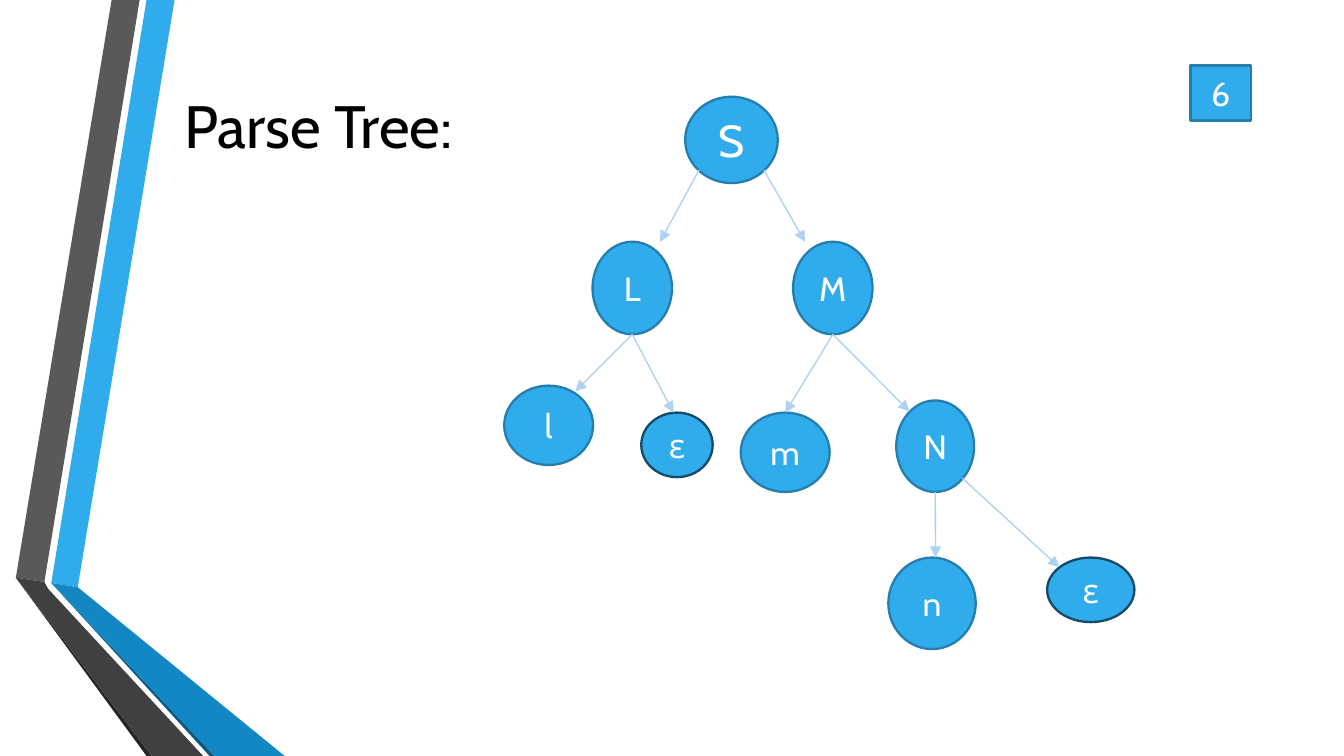
from pptx import Presentation
from pptx.dml.color import RGBColor
from pptx.enum.shapes import MSO_CONNECTOR, MSO_SHAPE
from pptx.enum.text import MSO_ANCHOR, MSO_AUTO_SIZE, PP_ALIGN
from pptx.oxml.ns import qn
from pptx.util import Cm, Pt
from lxml.etree import SubElement

COLORS = {
    "blue": "30ACEC", "outline": "247FAF", "dark outline": "154B67",
    "link": "AED2F4", "deep blue": "1287C3", "navy": "0C5A82",
    "gray": "595959", "charcoal": "404040", "coal": "262626",
    "white": "FFFFFF", "black": "000000",
}

RIBBONS = [
    ("blue", [(0.97, 11.02), (1.47, 11.1), (3.3, 0), (2.77, 0)]),
    ("gray", [(2.64, 0), (2.11, 0), (0.3, 10.92), (0.84, 11)]),
    ("coal", [(0.3, 10.92), (2.77, 14.29), (2.87, 14.29)]),
    ("navy", [(0.97, 11.02), (3.96, 14.29), (4.06, 14.29)]),
    ("deep blue", [(0.97, 11.02), (4.06, 14.29), (5.38, 14.29), (1.47, 11.1)]),
    ("charcoal", [(3.84, 14.29), (0.91, 11.13), (0.84, 11), (0.3, 10.92), (2.87, 14.29)]),
]

NODES = {
    "S": ("S", 12.95, 1.83, 1.75, 1.63, 24, "outline"),
    "L": ("L", 11.2, 4.57, 1.5, 1.75, 18, "outline"),
    "M": ("M", 14.99, 4.57, 1.5, 1.75, 18, "outline"),
    "l": ("l", 9.53, 7.29, 1.68, 1.5, 18, "outline"),
    "m": ("m", 14, 7.8, 1.68, 1.5, 18, "outline"),
    "N": ("N", 16.94, 7.57, 1.47, 1.73, 18, "outline"),
    "n": ("n", 16.79, 10.54, 1.65, 1.73, 18, "outline"),
    "L empty": ("ε", 12.12, 7.8, 1.35, 1.22, 18, "dark outline"),
    "N empty": ("ε", 19.79, 10.54, 1.65, 1.22, 18, "dark outline"),
}

BOTTOM, BOTTOM_LEFT, BOTTOM_RIGHT = (0.5, 1), (0.15, 0.85), (0.85, 0.85)
LINKS = [
    ("S", BOTTOM_LEFT, "L", (0.85, 0)),
    ("S", BOTTOM_RIGHT, "M", (0.15, 0)),
    ("L", BOTTOM, "l", (0.8, 0.07)),
    ("L", BOTTOM, "L empty", (0.45, 0)),
    ("M", BOTTOM, "m", (0.5, 0)),
    ("M", BOTTOM, "N", (0.17, 0.12)),
    ("N", BOTTOM, "n", (0.54, 0)),
    ("N", BOTTOM_RIGHT, "N empty", (0.14, 0.15)),
]


def color(name):
    return RGBColor.from_string(COLORS[name])


class TreeSlide:
    font_name = "Cabin"

    def __init__(self, deck):
        self.page = deck.slides.add_slide(deck.slide_layouts[5])

    def add_text(self, box, text, size, tint, **frame_format):
        frame = box.text_frame
        for name, value in frame_format.items():
            setattr(frame, name, value)
        para = frame.paragraphs[0]
        span = para.add_run()
        span.text = text
        for name, value in {"name": self.font_name, "size": Pt(size)}.items():
            setattr(span.font, name, value)
        span.font.color.rgb = color(tint)
        return para

    def paint(self, shape, fill):
        shape.shadow.inherit = False
        shape.fill.solid()
        shape.fill.fore_color.rgb = color(fill)

    def title(self, text, left, top, width, height):
        box = self.page.shapes.title
        position = {"left": left, "top": top, "width": width, "height": height}
        for name, value in position.items():
            setattr(box, name, Cm(value))
        para = self.add_text(box, text, 32, "black", word_wrap=True,
                             auto_size=MSO_AUTO_SIZE.NONE, vertical_anchor=MSO_ANCHOR.TOP)
        para.alignment = PP_ALIGN.LEFT

    def ribbon(self, fill, points):
        corners = [(Cm(x), Cm(y)) for x, y in points]
        builder = self.page.shapes.build_freeform(*corners[0], scale=1.0)
        builder.add_line_segments(corners[1:], close=True)
        shape = builder.convert_to_shape()
        self.paint(shape, fill)
        shape.line.fill.background()

    def node(self, text, left, top, width, height, size, outline, kind=MSO_SHAPE.OVAL):
        box = self.page.shapes.add_shape(kind, Cm(left), Cm(top), Cm(width), Cm(height))
        self.paint(box, "blue")
        box.line.color.rgb = color(outline)
        box.line.width = Pt(1.25)
        para = self.add_text(box, text, size, "white", vertical_anchor=MSO_ANCHOR.MIDDLE)
        para.alignment = PP_ALIGN.CENTER
        return box

    def link(self, parent, start, child, end):
        ends = [int(value) for box, (across, down) in ((parent, start), (child, end))
                for value in (box.left + across * box.width, box.top + down * box.height)]
        arrow = self.page.shapes.add_connector(MSO_CONNECTOR.STRAIGHT, *ends)
        arrow.line.color.rgb = color("link")
        arrow.line.width = Pt(0.75)
        properties = arrow.element.spPr
        SubElement(properties.find(qn("a:ln")), qn("a:tailEnd"), type="triangle")
        SubElement(properties, qn("a:effectLst"))


def main():
    deck = Presentation()
    deck.slide_width, deck.slide_height = Cm(25.4), Cm(14.29)
    slide = TreeSlide(deck)
    for fill, points in RIBBONS:
        slide.ribbon(fill, points)
    slide.title("Parse Tree:", 3.23, 1.55, 6.45, 1.63)
    boxes = {key: slide.node(*values) for key, values in NODES.items()}
    for parent, start, child, end in LINKS:
        slide.link(boxes[parent], start, boxes[child], end)
    slide.node("6", 22.5, 1.24, 1.14, 1.04, 18, "outline", MSO_SHAPE.RECTANGLE)
    deck.save("out.pptx")


if __name__ == "__main__":
    main()
